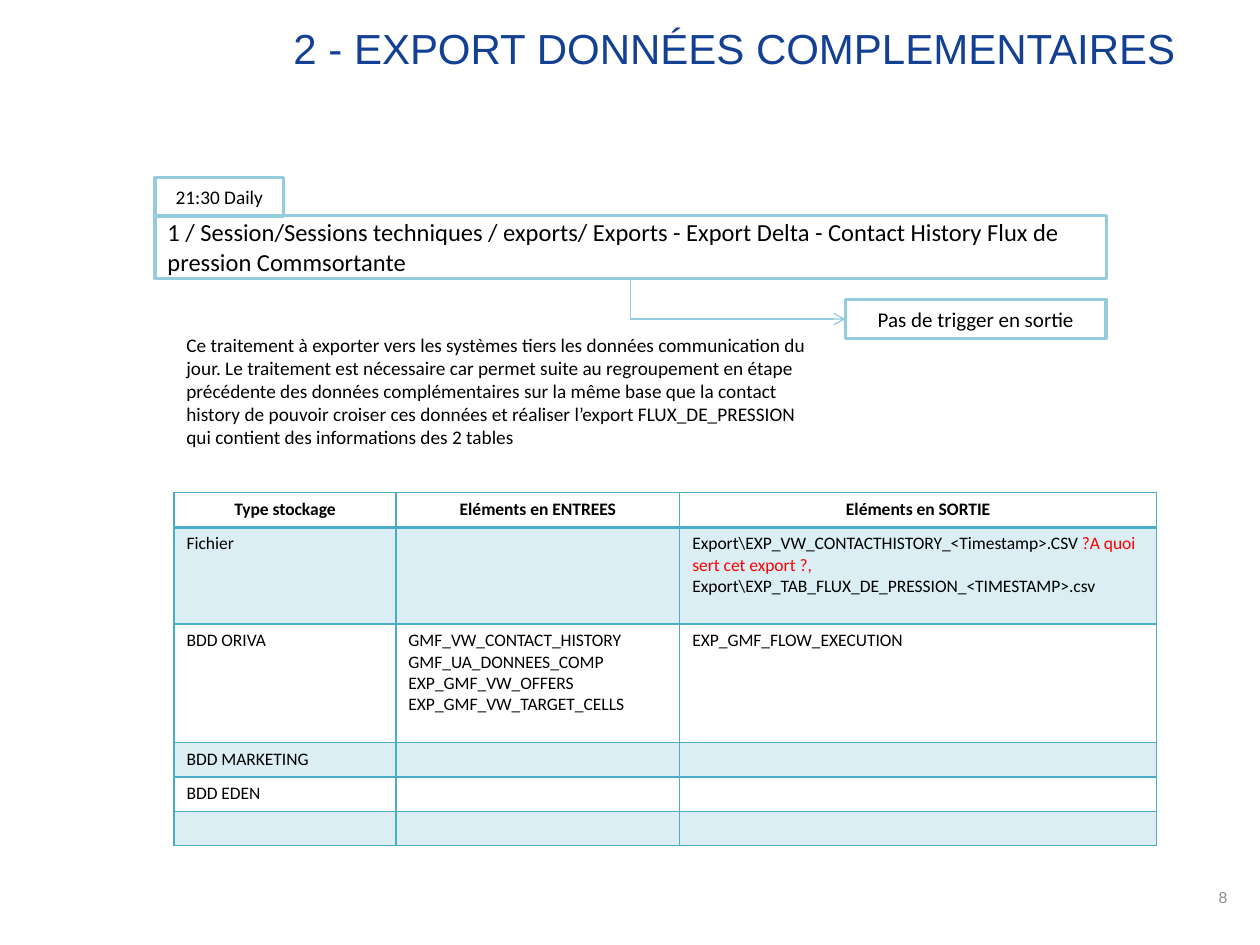
from dataclasses import dataclass

from lxml.etree import SubElement
from pptx import Presentation
from pptx.dml.color import RGBColor
from pptx.enum.shapes import MSO_CONNECTOR, MSO_SHAPE
from pptx.enum.text import MSO_ANCHOR, PP_ALIGN
from pptx.oxml.ns import qn
from pptx.util import Pt


@dataclass(frozen=True)
class Theme:
    title: str = "134093"
    text: str = "000000"
    muted: str = "8C8C8C"
    alert: str = "FF0000"
    box_line: str = "93CDDD"
    grid: str = "4BACC6"
    heading_font: str = "Arial"
    body_font: str = "Calibri"
    title_size: float = 24
    session_size: float = 14
    trigger_size: float = 12
    body_size: float = 11
    cell_size: float = 10
    page_size: float = 9


THEME = Theme()
BAND_OPACITY = 20
COLUMN_WIDTHS = (126.8, 162.2, 272.4)
ROW_HEIGHTS = (19.7, 55.4, 67.7, 19.7, 19.7, 19.7)
HEADERS = ("Type stockage", "Eléments en ENTREES", "Eléments en SORTIE")
STORAGE_ROWS = (
    (["Fichier"], [], [
        [(r"Export\EXP_VW_CONTACTHISTORY_<Timestamp>.CSV", THEME.text),
         (" ?A quoi sert cet export ?,", THEME.alert)],
        r"Export\EXP_TAB_FLUX_DE_PRESSION_<TIMESTAMP>.csv"]),
    (["BDD ORIVA"],
     ["GMF_VW_CONTACT_HISTORY", "GMF_UA_DONNEES_COMP",
      "EXP_GMF_VW_OFFERS", "EXP_GMF_VW_TARGET_CELLS"],
     ["EXP_GMF_FLOW_EXECUTION"]),
    (["BDD MARKETING"], [], []),
    (["BDD EDEN"], [], []),
    ([], [], []),
)


def write_text(frame, paragraphs, size, color=THEME.text, font=THEME.body_font,
               bold=False, align=PP_ALIGN.LEFT):
    """Fill a frame; a paragraph is a string or a list of (text, colour) runs."""
    frame.word_wrap = True
    for index, content in enumerate(paragraphs):
        paragraph = frame.paragraphs[0] if index == 0 else frame.add_paragraph()
        paragraph.alignment = align
        runs = [(content, color)] if isinstance(content, str) else content
        for words, run_color in runs:
            run = paragraph.add_run()
            run.text = words
            run.font.name = font
            run.font.size = Pt(size)
            run.font.bold = bold
            run.font.color.rgb = RGBColor.from_string(run_color)


def add_label(slide, bounds, words, size, anchor=MSO_ANCHOR.MIDDLE, **text_format):
    frame = slide.shapes.add_textbox(*map(Pt, bounds)).text_frame
    frame.vertical_anchor = anchor
    write_text(frame, [words], size, **text_format)
    return frame


def add_step(slide, bounds, words, size, align=PP_ALIGN.CENTER):
    step = slide.shapes.add_shape(MSO_SHAPE.RECTANGLE, *map(Pt, bounds))
    step.shadow.inherit = False
    step.fill.background()
    step.line.color.rgb = RGBColor.from_string(THEME.box_line)
    step.line.width = Pt(2)
    step.text_frame.vertical_anchor = MSO_ANCHOR.MIDDLE
    write_text(step.text_frame, [words], size, align=align)
    return step


def add_elbow_arrow(slide, source, target):
    """Go down from the source's bottom, then right to the target's left side."""
    start_x, start_y = source.left + source.width // 2, source.top + source.height
    end_x, end_y = target.left, target.top + target.height // 2
    arrow = slide.shapes.add_connector(MSO_CONNECTOR.ELBOW, start_x, start_y, end_x, end_y)
    arrow.begin_connect(source, 2)
    arrow.end_connect(target, 1)
    # A single bend that starts downwards is a flipped bend turned by 270 degrees.
    across, down = end_x - start_x, end_y - start_y
    arrow.left = (start_x + end_x - down) // 2
    arrow.top = (start_y + end_y - across) // 2
    arrow.width, arrow.height = down, across
    properties = arrow._element.spPr
    properties.find(qn("a:prstGeom")).set("prst", "bentConnector2")
    transform = properties.find(qn("a:xfrm"))
    transform.set("rot", str(270 * 60000))
    transform.set("flipH", "1")
    arrow.line.color.rgb = RGBColor.from_string(THEME.box_line)
    arrow.line.width = Pt(0.75)
    SubElement(arrow.line._get_or_add_ln(), qn("a:tailEnd"), type="arrow")
    SubElement(properties, qn("a:effectLst"))


def add_solid_fill(parent, color):
    fill = SubElement(parent, qn("a:solidFill"))
    return SubElement(fill, qn("a:srgbClr"), val=color)


def style_cell(cell, banded, top_width, bottom_width):
    properties = cell._tc.get_or_add_tcPr()
    widths = {"a:lnL": 1, "a:lnR": 1, "a:lnT": top_width, "a:lnB": bottom_width}
    for side, width in widths.items():
        add_solid_fill(SubElement(properties, qn(side), w=str(Pt(width))), THEME.grid)
    if banded:
        color = add_solid_fill(properties, THEME.grid)
        SubElement(color, qn("a:alpha"), val=str(BAND_OPACITY * 1000))
    else:
        cell.fill.background()


def add_storage_table(slide, left, top):
    contents = [[[header] for header in HEADERS], *STORAGE_ROWS]
    table = slide.shapes.add_table(
        len(contents), len(HEADERS), Pt(left), Pt(top),
        Pt(sum(COLUMN_WIDTHS)), Pt(sum(ROW_HEIGHTS))).table
    table.first_row = table.horz_banding = False
    for column, width in zip(table.columns, COLUMN_WIDTHS):
        column.width = Pt(width)
    for row_index, (row, height) in enumerate(zip(table.rows, ROW_HEIGHTS)):
        row.height = Pt(height)
        is_header = row_index == 0
        for cell, paragraphs in zip(row.cells, contents[row_index]):
            style_cell(cell, banded=row_index % 2 == 1,
                       top_width=2 if row_index == 1 else 1,
                       bottom_width=2 if is_header else 1)
            if paragraphs:
                write_text(cell.text_frame, paragraphs, THEME.cell_size, bold=is_header,
                           align=PP_ALIGN.CENTER if is_header else PP_ALIGN.LEFT)
            else:
                # Keeps an empty cell from growing to the default type size.
                SubElement(cell.text_frame.paragraphs[0]._p, qn("a:endParaRPr"),
                           sz=str(THEME.cell_size * 100))


def main():
    presentation = Presentation()
    presentation.slide_width, presentation.slide_height = Pt(720), Pt(540)
    slide = presentation.slides.add_slide(presentation.slide_layouts[6])

    add_label(slide, (160.6, 9.4, 545, 79.2), "2 - EXPORT DONNÉES COMPLEMENTAIRES",
              THEME.title_size, anchor=MSO_ANCHOR.TOP,
              color=THEME.title, font=THEME.heading_font)
    add_label(slide, (643.7, 498.2, 64.8, 28.8), "8", THEME.page_size,
              color=THEME.muted, font=THEME.heading_font, align=PP_ALIGN.RIGHT)

    session = add_step(
        slide, (88.6, 123.1, 543.6, 36),
        "1 / Session/Sessions techniques / exports/ Exports - Export Delta - "
        "Contact History Flux de pression Commsortante",
        THEME.session_size, align=PP_ALIGN.LEFT)
    add_step(slide, (88.6, 101.5, 73.4, 22.3), "21:30 Daily", THEME.body_size)
    trigger = add_step(slide, (483.1, 171.2, 149, 22.3), "Pas de trigger en sortie",
                       THEME.trigger_size)
    add_elbow_arrow(slide, session, trigger)

    add_storage_table(slide, 99.4, 281.5)
    description = add_label(
        slide, (99.4, 185, 370, 86.4),
        "Ce traitement à exporter vers les systèmes tiers les données communication "
        "du jour. Le traitement est nécessaire car permet suite au regroupement en "
        "étape précédente des données complémentaires sur la même base que la contact "
        "history de pouvoir croiser ces données et réaliser l’export FLUX_DE_PRESSION "
        "qui contient des informations des 2 tables",
        THEME.body_size)
    description.margin_bottom = Pt(13.4)

    presentation.save("out.pptx")


if __name__ == "__main__":
    main()
